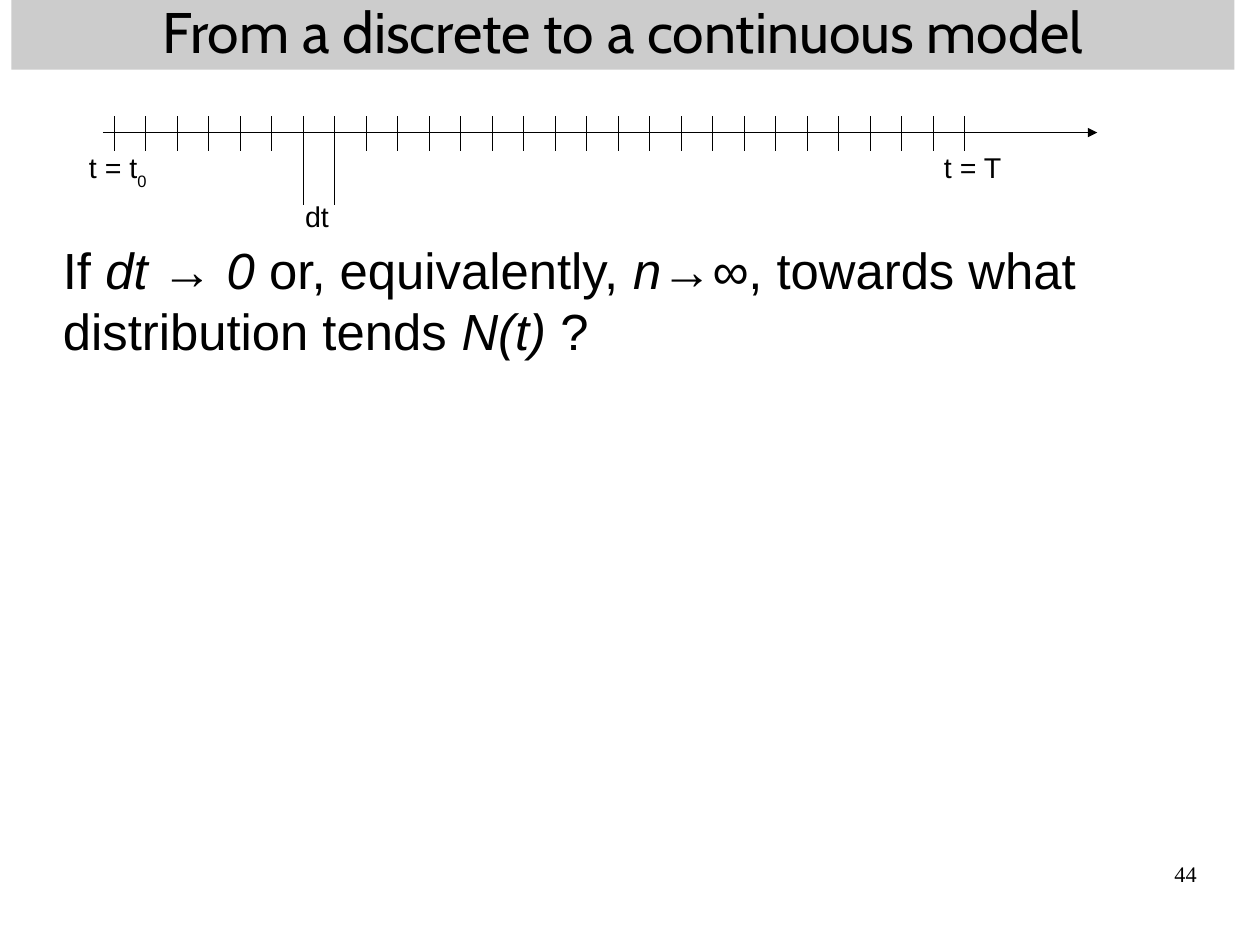
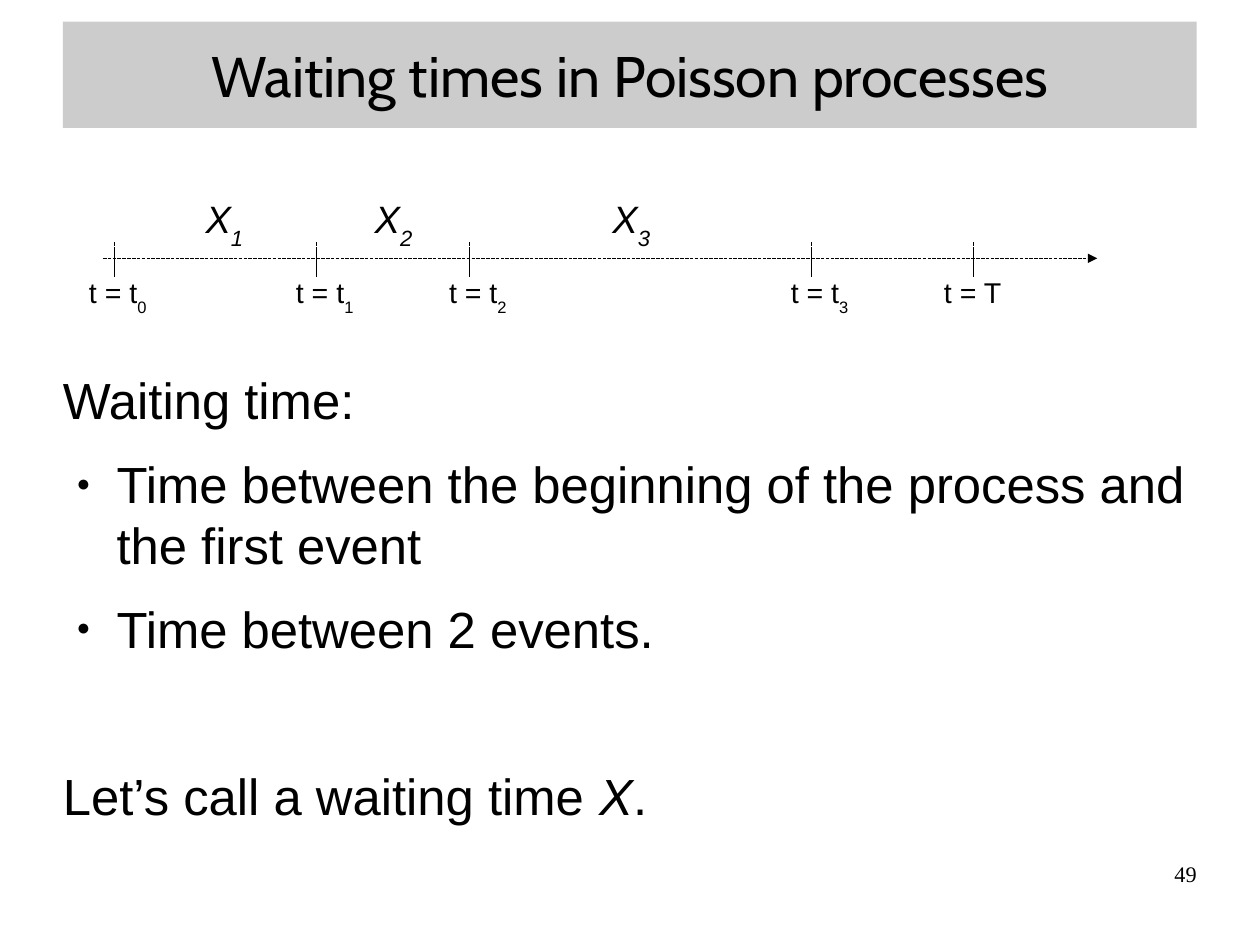
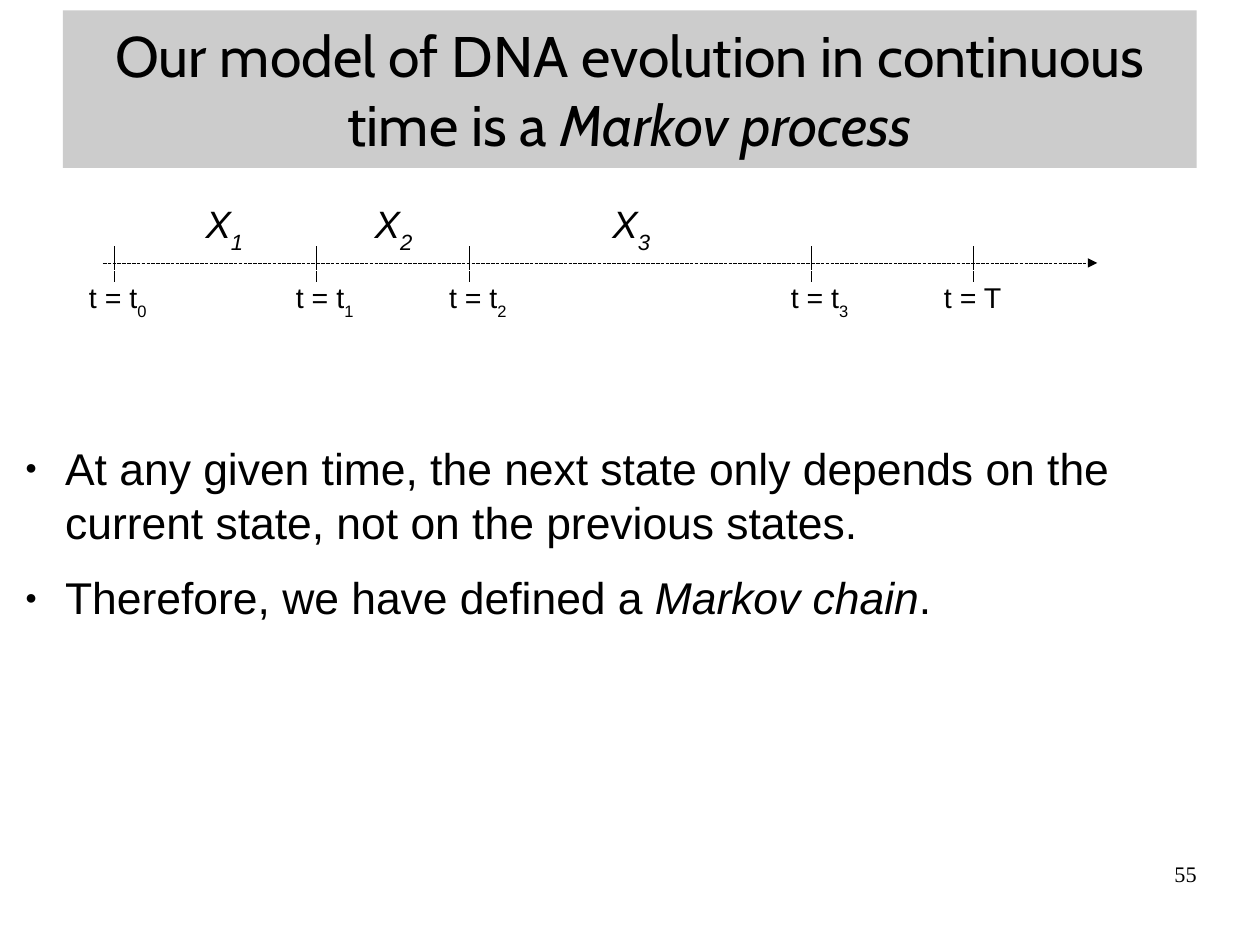
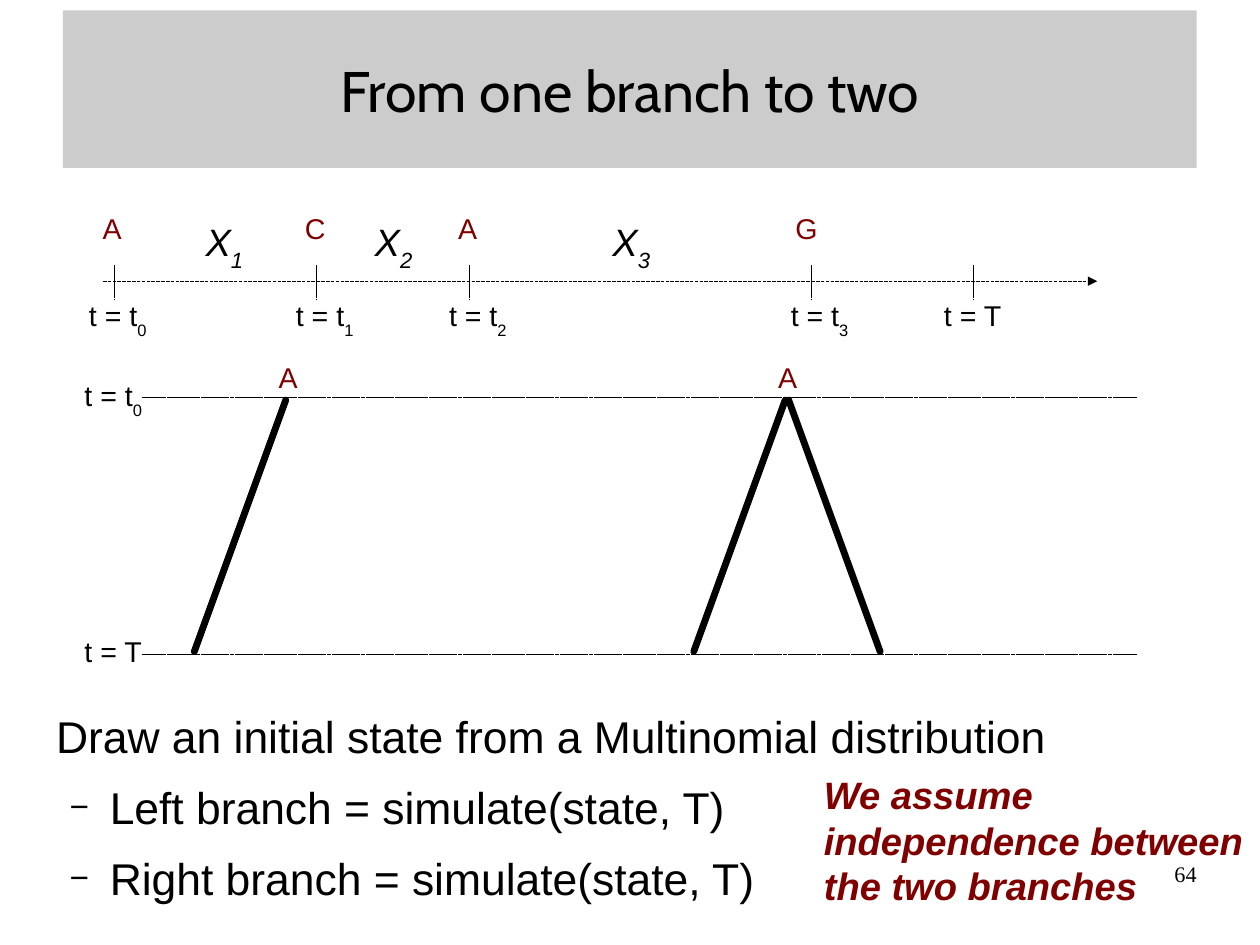
import dataclasses

import pptx
import pptx.dml.color
import pptx.enum.dml
import pptx.enum.shapes
import pptx.enum.text
import pptx.oxml.ns
import pptx.util
from lxml import etree

Inches = pptx.util.Inches
Pt = pptx.util.Pt
ALIGN = pptx.enum.text.PP_ALIGN


@dataclasses.dataclass(frozen=True)
class Theme:
    black: str = "000000"
    band: str = "CCCCCC"
    accent: str = "800000"
    text_font: str = "Arial"
    title_font: str = "Cabin"
    number_font: str = "Times New Roman"
    title_size: float = 36
    body_size: float = 32
    small_body_size: float = 28
    interval_size: float = 24
    label_size: float = 18
    number_size: float = 14
    hairline: float = 0
    branch_width: float = 4.31
    paragraph_gap: float = 14.2
    item_gap: float = 11.3


T = Theme()
DOT = {"bullet": "●", "bullet_size": 45, "left": 0.47, "indent": -0.35}
DASH = {"bullet": "−", "bullet_size": 75, "left": 0.94, "indent": -0.35,
        "level": 1, "before": T.item_gap}
WIDE_BAND = (0.55, 0.09, 9.92, 1.38)

# Tick position, label position, label subscript
EVENTS = [(1, 0.68, "0"), (2.77, 2.49, "1"), (4.11, 3.83, "2"),
          (7.1, 6.82, "3"), (8.52, 8.16, None)]
INTERVALS = [(1.7, "1"), (3.18, "2"), (5.26, "3")]
STATES = [(0.8, "A"), (2.57, "C"), (3.91, "A"), (6.86, "G")]


def rgb(color):
    return pptx.dml.color.RGBColor.from_string(color)


def add_child(parent, tag, **attributes):
    return etree.SubElement(parent, pptx.oxml.ns.qn(tag), **attributes)


def write(p, runs, size=T.label_size, font=T.text_font, color=T.black,
          bold=False, italic=False, align=ALIGN.LEFT, before=0, level=0,
          left=0, indent=0, bullet=None, bullet_size=100):
    """Fill a paragraph; a run is a string or a (string, "italic" or "sub") pair."""
    pPr = p._p.get_or_add_pPr()
    pPr.set("marL", str(Inches(left)))
    pPr.set("indent", str(Inches(indent)))
    if bullet:
        add_child(add_child(pPr, "a:buClr"), "a:srgbClr", val=color)
        add_child(pPr, "a:buSzPct", val=str(bullet_size * 1000))
        add_child(pPr, "a:buChar", char=bullet)
    else:
        add_child(pPr, "a:buNone")
    p.level = level
    p.alignment = align
    p.space_before = Pt(before)
    for run in [runs] if isinstance(runs, str) else runs:
        text, style = (run, None) if isinstance(run, str) else run
        r = p.add_run()
        r.text = text
        r.font.name = font
        r.font.size = Pt(size)
        r.font.bold = bold
        r.font.italic = italic or style == "italic"
        r.font.color.rgb = rgb(color)
        if style == "sub":
            r._r.get_or_add_rPr().set("baseline", "-33000")


def set_frame(tf, margins=(0, 0)):
    tf.word_wrap = True
    tf.auto_size = pptx.enum.text.MSO_AUTO_SIZE.NONE
    tf.margin_left = tf.margin_right = Inches(margins[0])
    tf.margin_top = tf.margin_bottom = Inches(margins[1])


def place(sp, x, y, w, h):
    sp.left, sp.top, sp.width, sp.height = map(Inches, (x, y, w, h))


def add_text(s, x, y, w, h, runs, margins=(0.1, 0.05), **fmt):
    sp = s.shapes.add_textbox(*map(Inches, (x, y, w, h)))
    set_frame(sp.text_frame, margins)
    write(sp.text_frame.paragraphs[0], runs, **fmt)


def add_line(s, x1, y1, x2, y2, width=T.hairline, dashed=False, arrow=False,
             round_cap=False):
    line = s.shapes.add_connector(pptx.enum.shapes.MSO_CONNECTOR.STRAIGHT,
                                  *map(Inches, (x1, y1, x2, y2)))
    line.line.color.rgb = rgb(T.black)
    if dashed:
        line.line.dash_style = pptx.enum.dml.MSO_LINE.SQUARE_DOT
    ln = line.line._get_or_add_ln()
    # The width property drops a zero, which would bring back the style's width.
    ln.set("w", str(Pt(width)))
    if round_cap:
        ln.set("cap", "rnd")
    if arrow:
        add_child(ln, "a:tailEnd", type="triangle")
    add_child(line._element.spPr, "a:effectLst")


def add_slide(prs, title, band, number):
    s = prs.slides.add_slide(prs.slide_layouts[1])
    sp = s.shapes.title
    place(sp, *band)
    sp.fill.solid()
    sp.fill.fore_color.rgb = rgb(T.band)
    set_frame(sp.text_frame)
    sp.text_frame.vertical_anchor = pptx.enum.text.MSO_ANCHOR.MIDDLE
    write(sp.text_frame.paragraphs[0], title, size=T.title_size,
          font=T.title_font, align=ALIGN.CENTER)
    add_text(s, 7.9, 7.53, 2.57, 0.57, str(number), margins=(0, 0),
             size=T.number_size, font=T.number_font, align=ALIGN.RIGHT)
    return s


def fill_body(s, box, paragraphs, size=T.body_size):
    """Write (runs, format) pairs into the body placeholder."""
    sp = s.placeholders[1]
    place(sp, *box)
    tf = sp.text_frame
    set_frame(tf)
    tf.vertical_anchor = pptx.enum.text.MSO_ANCHOR.TOP
    for i, (runs, fmt) in enumerate(paragraphs):
        p = tf.add_paragraph() if i else tf.paragraphs[0]
        gap = fmt.get("before", T.paragraph_gap) if i else 0
        write(p, runs, **{**fmt, "size": size, "before": gap})


def add_time_label(s, x, y, sub=None):
    add_text(s, x, y, 0.72, 0.44 if sub else 0.38,
             ["t = t", (sub, "sub")] if sub else "t = T")


def add_state(s, x, y, base):
    add_text(s, x, y, 0.4, 0.38, base, color=T.accent)


def add_axis(s, y, dashed=True):
    add_line(s, 0.9, y, 9.6, y, dashed=dashed, arrow=True)


def add_tick(s, x, axis_y, depth=0.16, dashed=True):
    add_line(s, x, axis_y - 0.14, x, axis_y + depth, dashed=dashed)


def add_event_timeline(s, y):
    add_axis(s, y)
    for tick_x, label_x, sub in EVENTS:
        add_tick(s, tick_x, y)
        add_time_label(s, label_x, y + 0.1, sub)
    for x, sub in INTERVALS:
        add_text(s, x, y - 0.6, 0.7, 0.92, ["X", (sub, "sub")],
                 size=T.interval_size, italic=True)


def add_discrete_timeline(s, y):
    add_axis(s, y, dashed=False)
    first, step, count = 1, 7.44 / 27, 28
    for i in range(count):
        add_tick(s, first + i * step, y, depth=0.63 if i in (6, 7) else 0.16,
                 dashed=False)
    add_time_label(s, 0.68, y + 0.1, "0")
    add_time_label(s, 8.16, y + 0.1)
    add_text(s, 2.57, y + 0.53, 0.51, 0.38, "dt")


def add_branches(s):
    for y, label_y, sub in [(3.48, 3.26, "0"), (5.73, 5.5, None)]:
        add_line(s, 1.25, y, 9.95, y, dashed=True)
        add_time_label(s, 0.64, label_y, sub)
    for x, spread in [(2.5, -0.8), (6.87, -0.8), (6.9, 0.8)]:
        add_line(s, x, 3.5, x + spread, 5.7, width=T.branch_width, round_cap=True)
    for x in (2.34, 6.71):
        add_state(s, x, 3.1, "A")


def continuous_model_slide(prs):
    s = add_slide(prs, "From a discrete to a continuous model",
                  (0.1, -0.07, 10.7, 0.68), 44)
    add_discrete_timeline(s, 1.16)
    fill_body(s, (0.55, 2.09, 9.92, 4.79), [
        (["If ", ("dt → 0", "italic"), " or, equivalently, ", ("n→∞", "italic"),
          ", towards what distribution tends ", ("N(t)", "italic"), " ?"], {}),
    ])


def waiting_times_slide(prs):
    s = add_slide(prs, "Waiting times in Poisson processes",
                  (0.55, 0.19, 9.92, 0.93), 49)
    add_event_timeline(s, 2.26)
    fill_body(s, (0.55, 3.23, 9.92, 4.79), [
        ("Waiting time:", {}),
        ("Time between the beginning of the process and the first event", DOT),
        ("Time between 2 events.", DOT),
        (["Let’s call a waiting time ", ("X", "italic"), "."], {"before": 67}),
    ])


def markov_slide(prs):
    s = add_slide(prs, ["Our model of DNA evolution in continuous time is a ",
                        ("Markov process", "italic")], WIDE_BAND, 55)
    add_event_timeline(s, 2.3)
    fill_body(s, (0.1, 3.86, 10.8, 2.38), [
        ("At any given time, the next state only depends on the current state, "
         "not on the previous states.", DOT),
        (["Therefore, we have defined a ", ("Markov chain", "italic"), "."], DOT),
    ], size=T.small_body_size)


def two_branches_slide(prs):
    s = add_slide(prs, "From one branch to two", WIDE_BAND, 64)
    add_event_timeline(s, 2.46)
    for x, base in STATES:
        add_state(s, x, 1.8, base)
    add_branches(s)
    fill_body(s, (0.02, 6.2, 10.8, 1.9), [
        ("Draw an initial state from a Multinomial distribution", {"left": 0.47}),
        ("Left branch = simulate(state, T)", DASH),
        ("Right branch = simulate(state, T)", DASH),
    ], size=T.small_body_size)
    add_text(s, 7.11, 6.7, 3.9, 1.28,
             "We assume independence between the two branches",
             size=T.interval_size, color=T.accent, bold=True, italic=True)


def main():
    prs = pptx.Presentation()
    prs.slide_width = pptx.util.Cm(28)
    prs.slide_height = pptx.util.Cm(21)
    continuous_model_slide(prs)
    waiting_times_slide(prs)
    markov_slide(prs)
    two_branches_slide(prs)
    prs.save("out.pptx")


if __name__ == "__main__":
    main()
